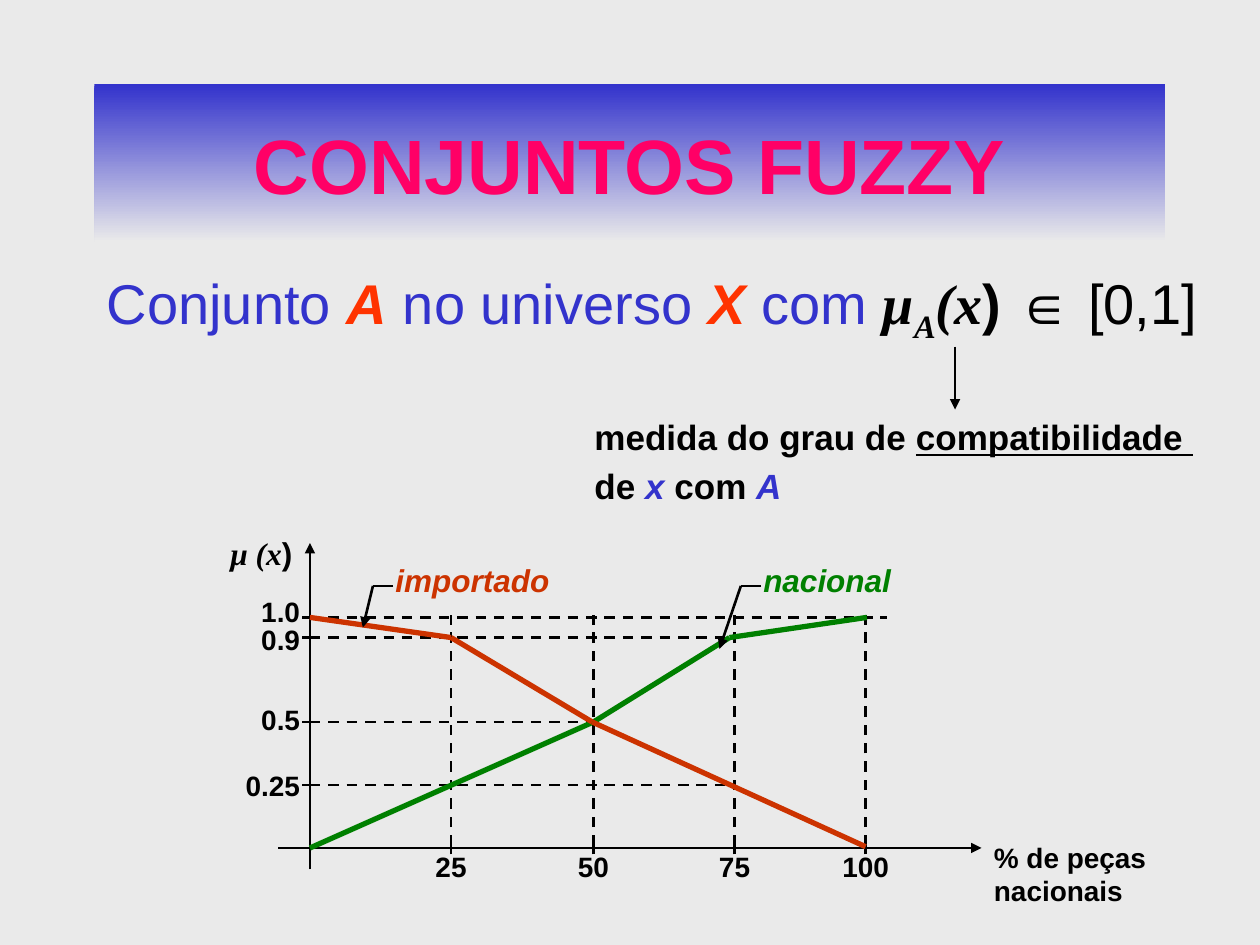
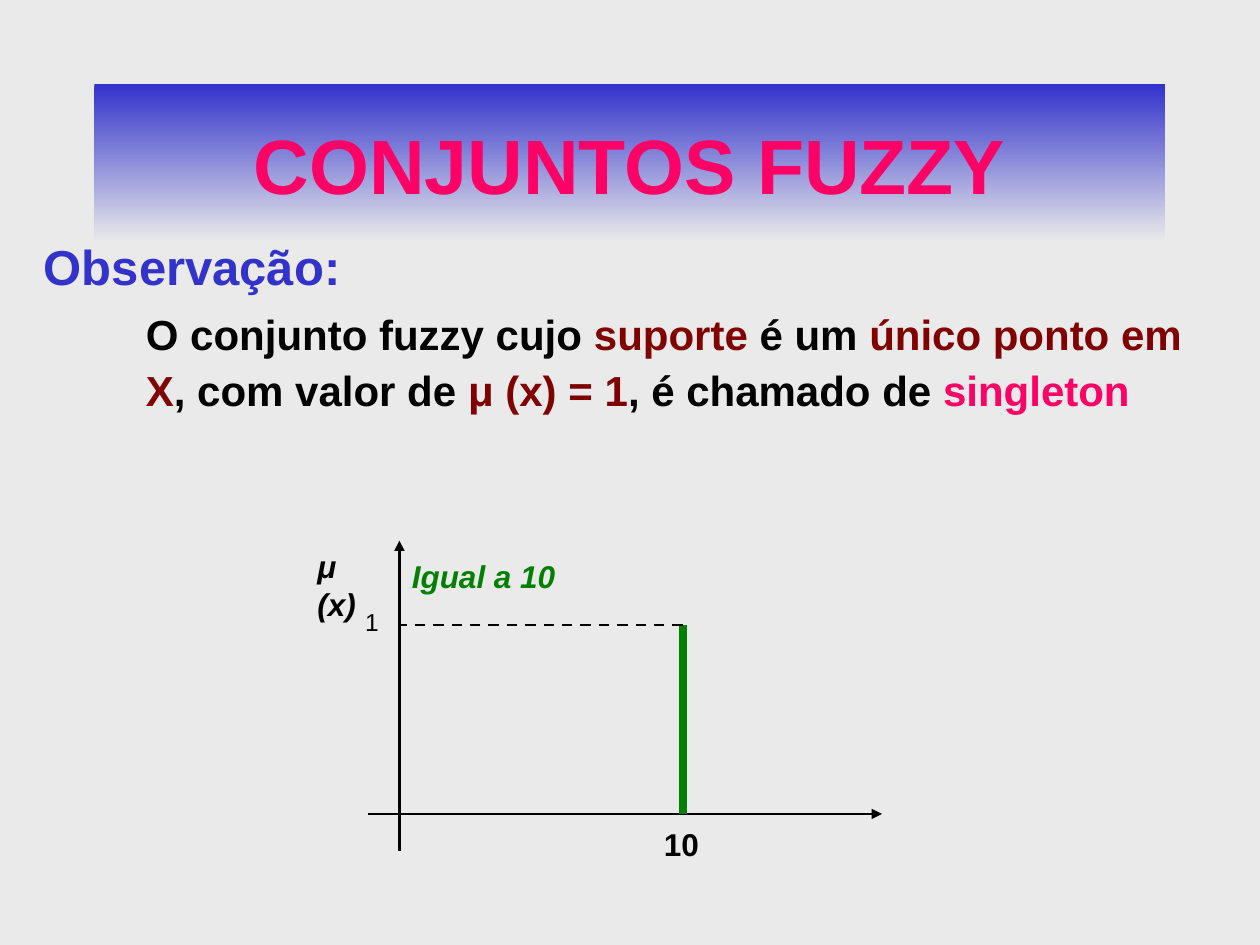
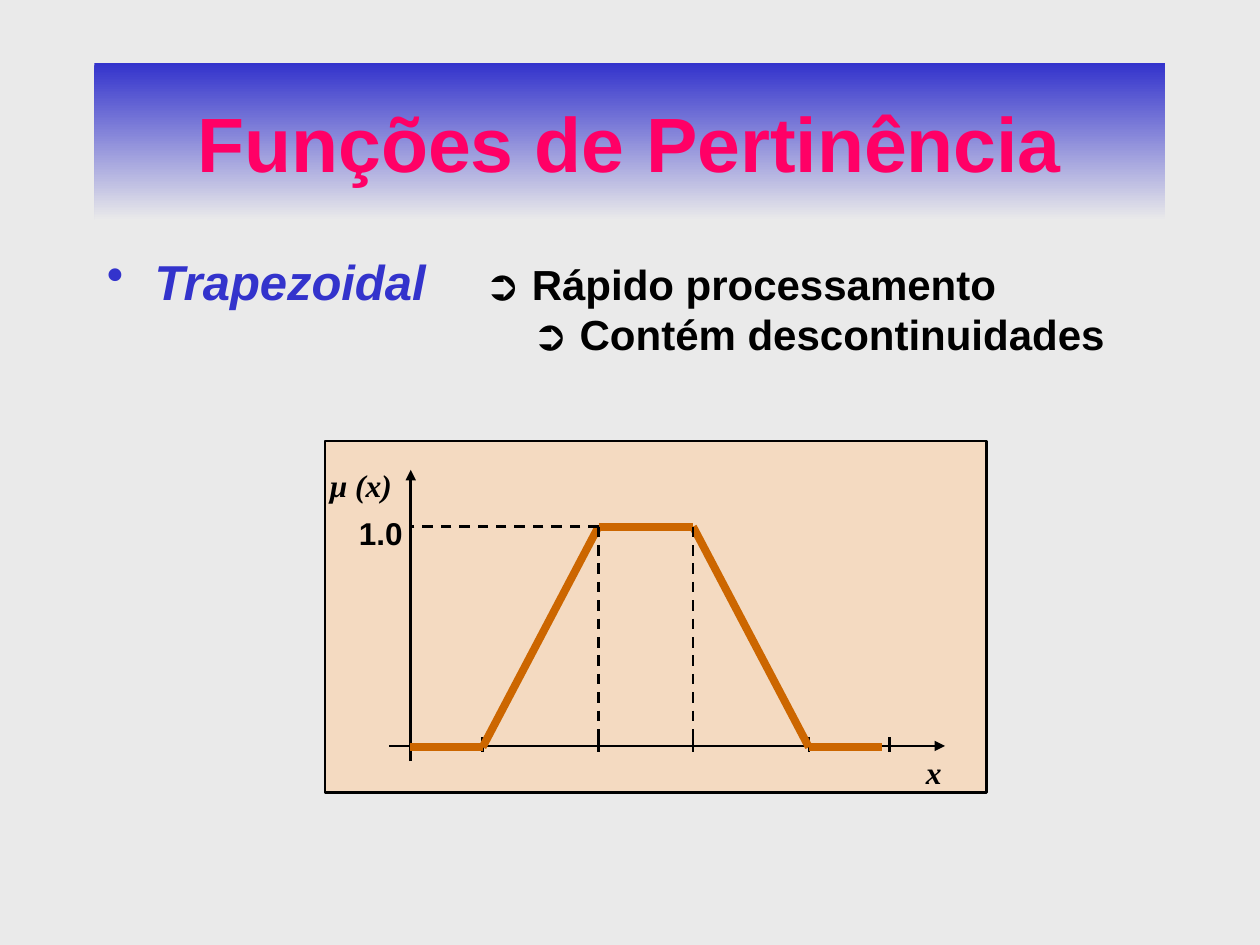
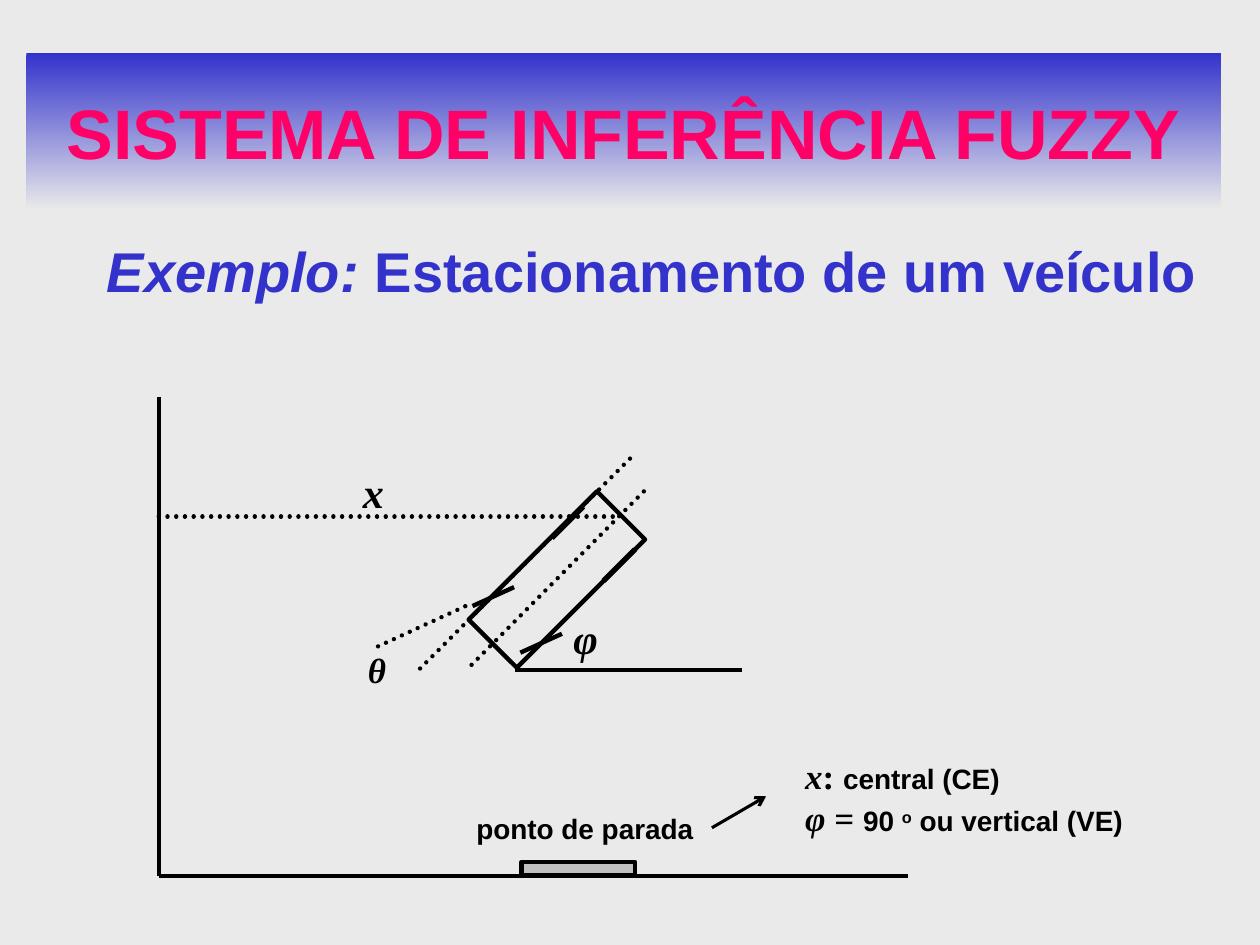
from dataclasses import dataclass, field
from typing import Optional

from lxml.etree import SubElement
from pptx import Presentation
from pptx.dml.color import RGBColor
from pptx.enum.dml import MSO_LINE
from pptx.enum.shapes import MSO_CONNECTOR, MSO_SHAPE
from pptx.enum.text import MSO_ANCHOR, PP_ALIGN
from pptx.oxml.ns import qn
from pptx.util import Emu, Pt

PX = 9144
SANS, SERIF = "Arial", "Times New Roman"
COLORS = {
    "paper": "EAEAEA",
    "ink": "000000",
    "blue": "3333CC",
    "pink": "FF0066",
    "scarlet": "FF3300",
    "rust": "CC3300",
    "maroon": "800000",
    "green": "008000",
    "orange": "CC6600",
    "peach": "FFCC99",
    "silver": "C0C0C0",
}


@dataclass
class Box:
    slide: object
    left: int
    top: int
    width: int
    height: int

    def point(self, x, y):
        return px(self.left + x), px(self.top + y)

    def frame(self, x, y, width, height):
        return *self.point(x, y), px(width), px(height)


@dataclass
class Run:
    text: str
    size: int = 16
    color: str = "ink"
    font: str = SANS
    bold: bool = True
    italic: bool = False
    underline: bool = False
    baseline: int = 0


@dataclass
class Para:
    runs: list = field(default_factory=list)
    indent: int = 0
    hanging: int = 0
    before: Optional[float] = None
    spacing: Optional[float] = None
    bullet: str = ""
    align: PP_ALIGN = PP_ALIGN.LEFT


def px(value):
    return Emu(value * PX)


def rgb(name):
    return RGBColor.from_string(COLORS[name])


def math_run(text, size=18):
    return Run(text, size, font=SERIF, italic=True)


def write(frame, paras):
    for index, para in enumerate(paras):
        paragraph = frame.add_paragraph() if index else frame.paragraphs[0]
        paragraph.alignment = para.align
        if para.before is None:
            share = 0.2 if index else 0.1
            paragraph.space_before = Pt(para.runs[0].size * share)
        else:
            paragraph.space_before = Pt(para.before)
        if para.spacing:
            paragraph.line_spacing = para.spacing
        properties = paragraph._p.get_or_add_pPr()
        properties.set("marL", str(px(para.indent)))
        properties.set("indent", str(px(-para.hanging)))
        if para.bullet:
            SubElement(properties, qn("a:buChar"), char=para.bullet)
        for part in para.runs:
            run = paragraph.add_run()
            run.text = part.text
            run.font.name = part.font
            run.font.size = Pt(part.size)
            run.font.bold = part.bold
            run.font.italic = part.italic
            run.font.underline = part.underline
            run.font.color.rgb = rgb(part.color)
            if part.baseline:
                run._r.get_or_add_rPr().set("baseline", str(part.baseline * 1000))


def text(box, place, paras, wrap=True, inset=True):
    frame = box.slide.shapes.add_textbox(*box.frame(*place)).text_frame
    frame.word_wrap = wrap
    if not inset:
        frame.margin_left = frame.margin_right = 0
        frame.margin_top = frame.margin_bottom = 0
    write(frame, paras)


def label(box, place, *runs, align=PP_ALIGN.LEFT):
    text(box, place, [Para(runs, align=align)], wrap=False)


def line(box, start, end, color="ink", weight=1.5, dash=None, head=None):
    connector = box.slide.shapes.add_connector(
        MSO_CONNECTOR.STRAIGHT, *box.point(*start), *box.point(*end))
    connector.line.color.rgb = rgb(color)
    connector.line.width = Pt(weight)
    if dash:
        connector.line.dash_style = dash
    if head:
        SubElement(connector.line._get_or_add_ln(), qn("a:tailEnd"), type=head)
    SubElement(connector._element.spPr, qn("a:effectLst"))
    return connector


def polyline(box, points, color="ink", weight=1.5):
    for start, end in zip(points, points[1:]):
        line(box, start, end, color, weight)


def dashed(box, start, end):
    line(box, start, end, dash=MSO_LINE.DASH)


def dotted(box, start, end):
    connector = line(box, start, end, weight=2.5, dash=MSO_LINE.ROUND_DOT)
    connector.line._get_or_add_ln().set("cap", "rnd")
    return connector


def axes(box, vertical, horizontal):
    for start, end in (vertical, horizontal):
        line(box, start, end, head="triangle")


def rectangle(box, place, fill=None, weight=None):
    shape = box.slide.shapes.add_shape(MSO_SHAPE.RECTANGLE, *box.frame(*place))
    shape.shadow.inherit = False
    if fill:
        shape.fill.solid()
        shape.fill.fore_color.rgb = rgb(fill)
    else:
        shape.fill.background()
    if weight:
        shape.line.color.rgb = rgb("ink")
        shape.line.width = Pt(weight)
    else:
        shape.line.fill.background()
    return shape


def title_band(box, title, size=44):
    band = rectangle(box, (0, 0, box.width, box.height))
    band.fill.gradient()
    band.fill.gradient_angle = 270
    for stop, color in zip(band.fill.gradient_stops, ("blue", "paper")):
        stop.color.rgb = rgb(color)
    band.text_frame.word_wrap = True
    band.text_frame.vertical_anchor = MSO_ANCHOR.MIDDLE
    write(band.text_frame, [
        Para([Run(title, size, "pink")], before=0, align=PP_ALIGN.CENTER)])


def fuzzy_set_definition(box):
    text(box, (0, 0, 900, 175), [Para([
        Run("Conjunto ", 32, "blue", bold=False),
        Run("A", 32, "scarlet", italic=True),
        Run(" no universo ", 32, "blue", bold=False),
        Run("X", 32, "scarlet", italic=True),
        Run(" com ", 32, "blue", bold=False),
        math_run("μ", 32),
        Run("A", 32, font=SERIF, italic=True, baseline=-25),
        math_run("(x", 32),
        Run(") ∈ ", 32),
        Run("[0,1]", 32, bold=False),
    ], indent=38, hanging=38)])
    text(box, (287, 117, 600, 83), [
        Para([Run("medida do grau de ", 20),
              Run("compatibilidade ", 20, underline=True)], indent=100),
        Para([Run("de ", 20), Run("x ", 20, "blue", italic=True),
              Run("com ", 20), Run("A", 20, "blue", italic=True)], indent=100),
    ])
    line(box, (683, 67), (683, 117), head="triangle")


def callout(box, name, color, x, width, tip):
    label(box, (x, -50, width, 40), Run(name, 18, color, italic=True))
    line(box, (x + 8, -25), (x - 8, -25))
    line(box, (x - 8, -25), tip, head="triangle")


def parts_plot(box):
    base = box.height
    columns = {"25": 112, "50": 225, "75": 337, "100": 441}
    levels = [
        ("1.0", 0, -23, 458),
        ("0.9", 16, -1, 333),
        ("0.5", 83, 63, 225),
        ("0.25", 133, 115, 333),
    ]
    axes(box, ((0, base + 17), (0, -59)), ((-25, base), (533, base)))
    label(box, (-73, -71, 74, 40), math_run("μ (x"), Run(")", 18))
    text(box, (533, base - 11, 179, 64), [Para([Run("% de peças nacionais")])])
    for name, x in columns.items():
        line(box, (x, base + 5), (x, base - 6))
        dashed(box, (x, base - 2), (x, -2))
        width = 12 * len(name) + 30
        label(box, (x - width // 2, base - 4, width, 37), Run(name),
              align=PP_ALIGN.CENTER)
    for name, y, label_top, reach in levels:
        line(box, (-6, y), (5, y))
        dashed(box, (0, y), (reach, y))
        width = 12 * len(name) + 22
        label(box, (2 - width, label_top, width, 37), Run(name),
              align=PP_ALIGN.RIGHT)
    polyline(box, [(0, base), (225, 83), (333, 16), (442, 0)], "green", 3)
    polyline(box, [(0, 0), (112, 16), (224, 83), (441, base - 1)], "rust", 3)
    callout(box, "importado", "rust", 58, 150, (42, 8))
    callout(box, "nacional", "green", 350, 130, (325, 25))


def singleton_note(box):
    text(box, (0, 0, box.width, box.height), [
        Para([Run("Observação:", 28, "blue")]),
        Para([
            Run("O conjunto fuzzy cujo ", 24),
            Run("suporte ", 24, "maroon"),
            Run("é um ", 24),
            Run("único ponto em X", 24, "maroon"),
            Run(", com valor de ", 24),
            Run("μ (x) = 1", 24, "maroon"),
            Run(", é chamado de ", 24),
            Run("singleton", 24, "pink"),
        ], indent=81, spacing=1.1),
    ])


def singleton_plot(box):
    base, peak = box.height, (box.width, 0)
    axes(box, ((0, base + 29), (0, -67)), ((-25, base), (383, base)))
    label(box, (0, -59, 158, 40), Run("Igual a 10", 18, "green", italic=True))
    text(box, (-75, -67, 72, 40), [Para([Run("μ (x)", 18, italic=True)])])
    line(box, (box.width, base), peak, "green", 4.5)
    dashed(box, peak, (0, 0))
    label(box, (box.width - 25, base + 4, 52, 40), Run("10", 18))
    label(box, (-37, -19, 34, 34), Run("1", 14, bold=False))


def trapezoid_features(box):
    text(box, (0, -5, 300, box.height), [
        Para([Run("Trapezoidal", 28, "blue", italic=True)],
             indent=38, hanging=38, before=0, bullet="•")])
    text(box, (300, 0, box.width - 300, box.height), [
        Para([Run("➲ Rápido processamento", 24)], before=0),
        Para([Run("➲ Contém descontinuidades", 24)], indent=38, before=0),
    ])


def trapezoid_plot(box):
    panel = rectangle(box, (0, 0, box.width, box.height), "peach", 1.5)
    tint = next(panel._element.iter(qn("a:srgbClr")))
    SubElement(tint, qn("a:alpha"), val="50000")
    base, peak, origin = 243, 68, 67
    rise, left_top, right_top, fall = 125, 217, 292, 384
    label(box, (-6, 15, 74, 40), math_run("μ (x)"))
    axes(box, ((68, 254), (68, 23)), ((51, 242), (492, 242)))
    label(box, (17, 53, 60, 40), Run("1.0", 18))
    for x in (rise, left_top, right_top, fall, 448):
        line(box, (x, 235), (x, 247))
    polyline(box, [(origin, base), (rise, base), (left_top, peak),
                   (right_top, peak), (fall, base), (442, base)], "orange", 4.5)
    for x in (left_top, right_top):
        dashed(box, (x, peak), (x, base))
    dashed(box, (left_top, peak), (origin, peak))
    label(box, (467, 243, 36, 40), math_run("x"))


def parking_heading(box):
    text(box, (0, 0, box.width, box.height), [Para([
        Run("Exemplo: ", 32, "blue", italic=True),
        Run("Estacionamento de um veículo", 32, "blue"),
    ], indent=38, hanging=38)])


def parking_diagram(box):
    floor = box.height
    line(box, (0, 0), (0, floor), weight=2.5)
    line(box, (0, floor), (box.width, floor), weight=2.5)
    vehicle = rectangle(box, (289, 73, 54, 144), weight=2.5)
    vehicle.rotation = 45
    line(box, (283, 217), (463, 217), weight=2.5)
    for start, end in [((385, 75), (245, 216)), ((374, 49), (204, 219)),
                       ((174, 198), (248, 164))]:
        dotted(box, start, end)
    distance = dotted(box, (0, 95), (367, 95))
    distance.end_connect(vehicle, 0)
    distance.end_x, distance.end_y = box.point(367, 95)
    for x, y in [(249, 166), (287, 203)]:
        line(box, (x + 33, y - 15), (x, y), weight=2.5)
    for x, y in [(353, 146), (312, 112)]:
        line(box, (x + 25, y - 25), (x, y), weight=3)
    rectangle(box, (288, floor - 11, 90, 11), "silver", 2.5)
    for place, run in [
        ((252, 329, 198, 36), Run("ponto de parada")),
        ((329, 171, 36, 36), math_run("φ", 24)),
        ((162, 55, 36, 36), math_run("x", 24)),
        ((166, 200, 36, 36), math_run("θ", 20)),
    ]:
        text(box, place, [Para([run], before=0)], inset=False)
    text(box, (513, 284, 306, 126), [
        Para([math_run("x", 20), Run(": ", 20, font=SERIF),
              Run("central (CE)")], before=0),
        Para([math_run("φ ", 20), Run("= ", 20, font=SERIF), Run("90 "),
              Run("o", baseline=30), Run(" ou vertical (VE)")], before=0),
    ], inset=False)
    line(box, (439, 342), (482, 317), weight=1.75, head="arrow")


def main():
    deck = Presentation()
    deck.slide_width, deck.slide_height = px(1000), px(750)
    pages = [
        [(title_band, (75, 67, 850, 125), "CONJUNTOS FUZZY"),
         (fuzzy_set_definition, (75, 208, 900, 200)),
         (parts_plot, (246, 490, 442, 183))],
        [(title_band, (75, 67, 850, 125), "CONJUNTOS FUZZY"),
         (singleton_note, (25, 183, 942, 450)),
         (singleton_plot, (317, 496, 225, 150))],
        [(title_band, (75, 50, 850, 125), "Funções de Pertinência"),
         (trapezoid_features, (75, 200, 850, 75)),
         (trapezoid_plot, (258, 350, 525, 279))],
        [(parking_heading, (75, 183, 925, 450)),
         (parking_diagram, (126, 315, 595, 380)),
         (title_band, (21, 42, 948, 125), "SISTEMA DE INFERÊNCIA FUZZY", 40)],
    ]
    for regions in pages:
        slide = deck.slides.add_slide(deck.slide_layouts[6])
        slide.background.fill.solid()
        slide.background.fill.fore_color.rgb = rgb("paper")
        for draw, place, *content in regions:
            draw(Box(slide, *place), *content)
    deck.save("out.pptx")


if __name__ == "__main__":
    main()
